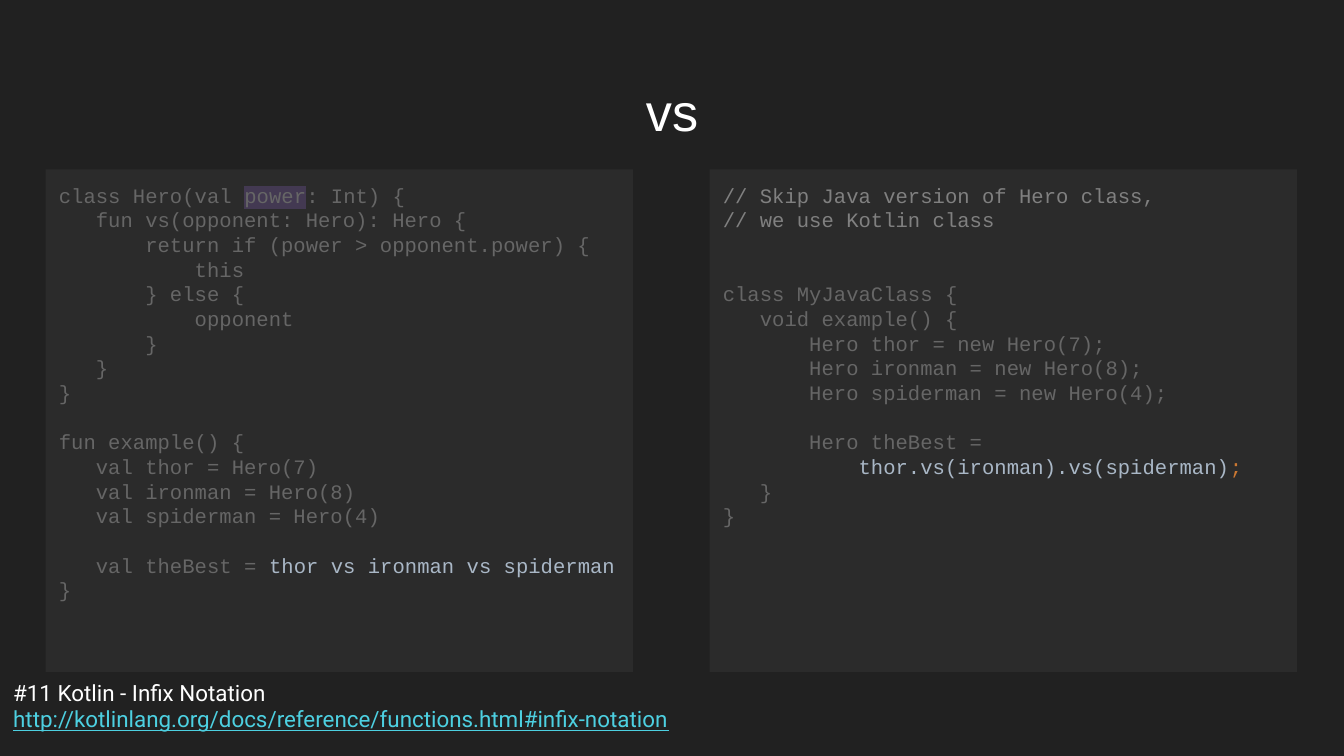
"""Build the slide comparing infix notation in Kotlin and Java."""
from dataclasses import dataclass

import pptx
import pptx.dml.color
import pptx.enum.shapes
import pptx.enum.text
import pptx.oxml
import pptx.oxml.ns
import pptx.slide
import pptx.text.text
import pptx.util
from pptx.dml.color import RGBColor
from pptx.util import Inches

BACKGROUND = RGBColor(0x21, 0x21, 0x21)
PANEL = RGBColor(0x2B, 0x2B, 0x2B)
WHITE = RGBColor(0xFF, 0xFF, 0xFF)
DIMMED = RGBColor(0x66, 0x66, 0x66)
REMARK = RGBColor(0x80, 0x80, 0x80)
BRIGHT = RGBColor(0xA9, 0xB7, 0xC6)
ORANGE = RGBColor(0xCC, 0x78, 0x32)
CYAN = RGBColor(0x4D, 0xD0, 0xE1)
SELECTION = RGBColor(0x43, 0x39, 0x52)

LINE_PITCH = 13.2
MARGIN = Inches(0.1)


@dataclass(frozen=True)
class Span:
    text: str
    color: RGBColor = DIMMED
    highlight: RGBColor | None = None
    underline: bool = False


@dataclass(frozen=True)
class Line:
    spans: tuple[Span, ...]
    gap_lines: int = 0


@dataclass(frozen=True)
class Style:
    font: str
    size: float
    align: pptx.enum.text.PP_ALIGN = pptx.enum.text.PP_ALIGN.LEFT
    pitch: float | None = None


@dataclass(frozen=True)
class CodePanel:
    left: float
    lines: tuple[Line, ...]


CODE = Style("Courier New", 11, pitch=LINE_PITCH)
HEADING = Style("Arial", 28, pptx.enum.text.PP_ALIGN.CENTER)
CAPTION = Style("Roboto", 12)


def line(text: str, color: RGBColor = DIMMED, gap_lines: int = 0) -> Line:
    """Return a line in a single colour."""
    return Line((Span(text, color),), gap_lines)


KOTLIN = CodePanel(0.34, (
    Line((Span("class Hero(val "), Span("power", highlight=SELECTION), Span(": Int) {"))),
    line("   fun vs(opponent: Hero): Hero {"),
    line("       return if (power > opponent.power) {"),
    line("           this"),
    line("       } else {"),
    line("           opponent"),
    line("       }"),
    line("   }"),
    line("}"),
    line("fun example() {", gap_lines=1),
    line("   val thor = Hero(7)"),
    line("   val ironman = Hero(8)"),
    line("   val spiderman = Hero(4)"),
    Line((Span("   val theBest = "), Span("thor vs ironman vs spiderman", BRIGHT)), 1),
    line("}"),
))
JAVA = CodePanel(5.28, (
    line("// Skip Java version of Hero class,", REMARK),
    line("// we use Kotlin class", REMARK),
    line("class MyJavaClass {", gap_lines=2),
    line("   void example() {"),
    line("       Hero thor = new Hero(7);"),
    line("       Hero ironman = new Hero(8);"),
    line("       Hero spiderman = new Hero(4);"),
    line("       Hero theBest =", gap_lines=1),
    Line((Span("           thor.vs(ironman).vs(spiderman)", BRIGHT), Span(";", ORANGE))),
    line("   }"),
    line("}"),
))
FOOTER = (
    line("#11 Kotlin - Infix Notation", WHITE),
    Line((Span("http://kotlinlang.org/docs/reference/functions.html#infix-notation",
               CYAN, underline=True),)),
)


def add_span(paragraph: pptx.text.text._Paragraph, span: Span, style: Style) -> None:
    """Add one formatted run to a paragraph."""
    run = paragraph.add_run()
    run.text = span.text
    run.font.name = style.font
    run.font.size = pptx.util.Pt(style.size)
    run.font.color.rgb = span.color
    if span.underline:
        run.font.underline = True
    if span.highlight is not None:
        highlight = pptx.oxml.parse_xml(
            f'<a:highlight {pptx.oxml.ns.nsdecls("a")}>'
            f'<a:srgbClr val="{span.highlight}"/></a:highlight>')
        fill = run.font.fill._xPr.find(pptx.oxml.ns.qn("a:solidFill"))
        fill.addnext(highlight)


def write_lines(frame: pptx.text.text.TextFrame, lines: tuple[Line, ...], style: Style) -> None:
    """Fill a text frame with lines in one style."""
    frame.word_wrap = True
    frame.vertical_anchor = pptx.enum.text.MSO_ANCHOR.TOP
    frame.margin_left = frame.margin_right = MARGIN
    frame.margin_top = frame.margin_bottom = MARGIN
    for index, entry in enumerate(lines):
        paragraph = frame.add_paragraph() if index else frame.paragraphs[0]
        paragraph.alignment = style.align
        if style.pitch:
            paragraph.line_spacing = pptx.util.Pt(style.pitch)
        if entry.gap_lines:
            paragraph.space_before = pptx.util.Pt(entry.gap_lines * LINE_PITCH)
        for span in entry.spans:
            add_span(paragraph, span, style)


def add_code_panel(slide: pptx.slide.Slide, panel: CodePanel) -> None:
    """Draw a filled panel of code."""
    listing = slide.shapes.add_shape(
        pptx.enum.shapes.MSO_SHAPE.RECTANGLE,
        Inches(panel.left), Inches(1.26), Inches(4.37), Inches(3.74))
    listing.shadow.inherit = False
    listing.fill.solid()
    listing.fill.fore_color.rgb = PANEL
    listing.line.fill.background()
    write_lines(listing.text_frame, panel.lines, CODE)


def main() -> None:
    """Build and save the slide."""
    deck = pptx.Presentation()
    deck.slide_width = Inches(10)
    deck.slide_height = Inches(10 * 9 / 16)
    slide = deck.slides.add_slide(deck.slide_layouts[6])
    slide.background.fill.solid()
    slide.background.fill.fore_color.rgb = BACKGROUND

    for panel in (KOTLIN, JAVA):
        add_code_panel(slide, panel)
    footer = slide.shapes.add_textbox(Inches(0), Inches(4.95), Inches(10), Inches(0.68))
    write_lines(footer.text_frame, FOOTER, CAPTION)
    heading = slide.shapes.add_textbox(Inches(0.34), Inches(0.49), Inches(9.32), Inches(0.63))
    write_lines(heading.text_frame, (line("vs", WHITE),), HEADING)

    deck.save("out.pptx")


if __name__ == "__main__":
    main()
